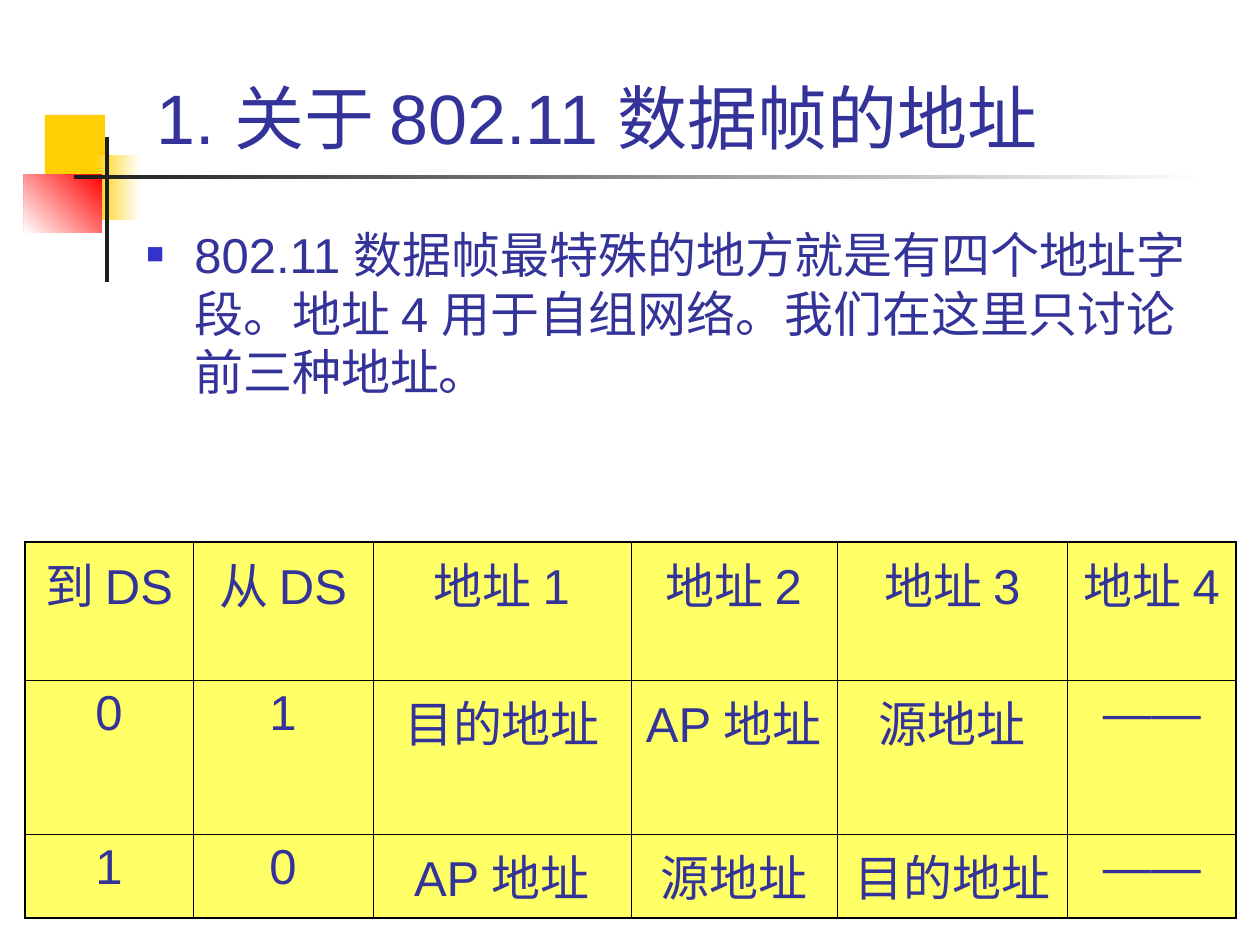
from lxml import etree
from pptx import Presentation
from pptx.dml.color import RGBColor
from pptx.enum import shapes, text
from pptx.oxml.ns import qn
from pptx.util import Emu, Pt

PX = 914400 / 126
FONT = "Arial"
NAVY = RGBColor(0x33, 0x33, 0x99)
BLUE = RGBColor(0x33, 0x33, 0xCC)
GOLD = RGBColor(0xFF, 0xCF, 0x01)
RED = RGBColor(0xFF, 0x00, 0x00)
DARK = RGBColor(0x1C, 0x1C, 0x1C)
WHITE = RGBColor(0xFF, 0xFF, 0xFF)
YELLOW = RGBColor(0xFF, 0xFF, 0x66)
BLACK = RGBColor(0x00, 0x00, 0x00)

TITLE = "1. 关于 802.11 数据帧的地址"
BODY = "802.11 数据帧最特殊的地方就是有四个地址字段。地址 4 用于自组网络。我们在这里只讨论前三种地址。"
ROWS = [
    ["到 DS", "从 DS", "地址 1", "地址 2", "地址 3", "地址 4"],
    ["0", "1", "目的地址", "AP 地址", "源地址", "——"],
    ["1", "0", "AP 地址", "源地址", "目的地址", "——"],
]
COL_WIDTHS = [168, 180, 258, 206, 231, 168]
ROW_HEIGHTS = [138, 154, 84]
THIN, THICK = Pt(0.45), Pt(1.08)

# box, colours from start to end, gradient angle (counter-clockwise)
ORNAMENTS = [
    ((45, 115, 60, 65), [GOLD], None),
    ((94, 155, 46, 65), [WHITE, GOLD], 180),
    ((24, 174, 78, 59), [RED, WHITE], 225),
    ((105, 137, 4, 145), [DARK], None),
    ((74, 175, 1134, 4), [WHITE, DARK], 180),
]


def px(*values):
    return [Emu(round(v * PX)) for v in values]


def write(tf, content, size=28, align=text.PP_ALIGN.LEFT, bullet=None):
    p = tf.paragraphs[0]
    r = p.add_run()
    r.text = content
    r.font.name, r.font.size, r.font.color.rgb = FONT, Pt(size), NAVY
    p.alignment = align
    if bullet:
        pPr = p._p.get_or_add_pPr()
        indent = px(48)[0]
        pPr.set("marL", str(indent))
        pPr.set("indent", str(-indent))
        color = etree.SubElement(pPr, qn("a:buClr"))
        etree.SubElement(color, qn("a:srgbClr"), val=str(BLUE))
        etree.SubElement(pPr, qn("a:buSzPct"), val="60000")
        etree.SubElement(pPr, qn("a:buFont"), typeface=FONT)
        etree.SubElement(pPr, qn("a:buChar"), char=bullet)


def set_borders(cell, **widths):
    tcPr = cell._tc.get_or_add_tcPr()
    for i, (side, width) in enumerate(widths.items()):
        ln = etree.Element(qn(f"a:ln{side}"), w=str(width))
        fill = etree.SubElement(ln, qn("a:solidFill"))
        etree.SubElement(fill, qn("a:srgbClr"), val=str(BLACK))
        tcPr.insert(i, ln)


prs = Presentation()
prs.slide_width, prs.slide_height = px(1260, 945)
s = prs.slides.add_slide(prs.slide_layouts[5])

# Corner ornament
for box, colors, angle in ORNAMENTS:
    sp = s.shapes.add_shape(shapes.MSO_SHAPE.RECTANGLE, *px(*box))
    sp.shadow.inherit = False
    sp.line.fill.background()
    if angle is None:
        sp.fill.solid()
        sp.fill.fore_color.rgb = colors[0]
    else:
        sp.fill.gradient()
        sp.fill.gradient_angle = angle
        for stop, color, position in zip(sp.fill.gradient_stops, colors, (0, 1)):
            stop.color.rgb, stop.position = color, position

# Title
title = s.shapes.title
title.left, title.top, title.width, title.height = px(144, 26, 1032, 139)
title.text_frame.vertical_anchor = text.MSO_ANCHOR.BOTTOM
title.text_frame.auto_size = text.MSO_AUTO_SIZE.NONE
write(title.text_frame, TITLE, size=40)

# Body
tf = s.shapes.add_textbox(*px(134, 218, 1081, 229)).text_frame
tf.word_wrap = True
write(tf, BODY, bullet="■")

# Address table
table = s.shapes.add_table(
    len(ROWS), len(COL_WIDTHS), *px(25, 542, sum(COL_WIDTHS), sum(ROW_HEIGHTS))
).table
table.first_row = table.horz_banding = False
for col, width in zip(table.columns, px(*COL_WIDTHS)):
    col.width = width
for row, height in zip(table.rows, px(*ROW_HEIGHTS)):
    row.height = height
last_row, last_col = len(ROWS) - 1, len(COL_WIDTHS) - 1
for i, row in enumerate(ROWS):
    for j, content in enumerate(row):
        cell = table.cell(i, j)
        cell.fill.solid()
        cell.fill.fore_color.rgb = YELLOW
        write(cell.text_frame, content, align=text.PP_ALIGN.CENTER)
        set_borders(
            cell,
            L=THICK if j == 0 else THIN,
            R=THICK if j == last_col else THIN,
            T=THICK if i == 0 else THIN,
            B=THICK if i == last_row else THIN,
        )

prs.save("out.pptx")
